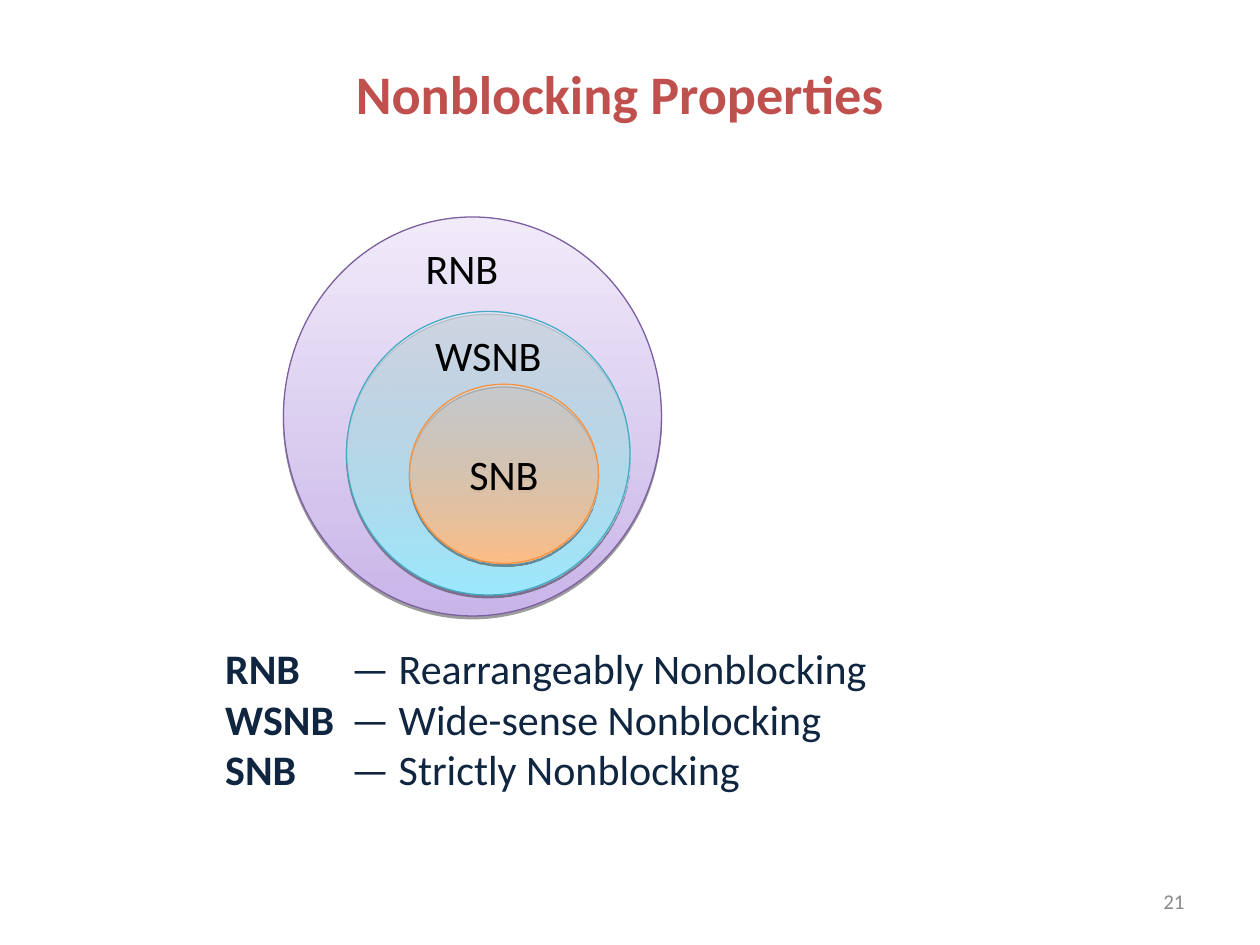
import dataclasses

import pptx
import pptx.dml.color
import pptx.enum.shapes
import pptx.enum.text
import pptx.oxml
import pptx.oxml.ns
import pptx.util

Pt = pptx.util.Pt
Align = pptx.enum.text.PP_ALIGN
Anchor = pptx.enum.text.MSO_ANCHOR
DRAWING = pptx.oxml.ns.nsdecls("a")


@dataclasses.dataclass(frozen=True)
class Theme:
    font: str = "Calibri"
    title_size: float = 31
    text_size: float = 24
    number_size: float = 12
    title: str = "C0504D"
    label: str = "000000"
    definition: str = "10253F"
    number: str = "898989"
    rearrangeable: tuple = ("C9B5E8", "F0EAF9", "7D60A0")
    wide_sense: tuple = ("9EEAFF", "E4F9FF", "46AAC5")
    strict: tuple = ("FFBE86", "FFEBDB", "F69240")


def rgb(color):
    return pptx.dml.color.RGBColor.from_string(color)


def write(paragraph, text, *, font, size, color, bold=False, align=None):
    if align is not None:
        paragraph.alignment = align
    run = paragraph.add_run()
    run.text = text
    run.font.name = font
    run.font.size = Pt(size)
    run.font.bold = bold
    run.font.color.rgb = rgb(color)


def place(shape, left, top, width, height):
    shape.left, shape.top = Pt(left), Pt(top)
    shape.width, shape.height = Pt(width), Pt(height)


class SlideBuilder:
    def __init__(self, slide, theme):
        self.slide = slide
        self.theme = theme

    def title(self, text, box):
        shape = self.slide.shapes.title
        place(shape, *box)
        frame = shape.text_frame
        frame.vertical_anchor = Anchor.MIDDLE
        write(frame.paragraphs[0], text, font=self.theme.font, size=self.theme.title_size,
              color=self.theme.title, bold=True, align=Align.CENTER)

    def definitions(self, entries, box, tab):
        shape = self.slide.placeholders[1]
        place(shape, *box)
        frame = shape.text_frame
        frame.auto_size = pptx.enum.text.MSO_AUTO_SIZE.NONE
        for index, (term, meaning) in enumerate(entries):
            paragraph = frame.add_paragraph() if index else frame.paragraphs[0]
            paragraph.space_before = Pt(0)
            properties = paragraph._p.get_or_add_pPr()
            properties.set("marL", "0")
            properties.set("indent", "0")
            properties.append(pptx.oxml.parse_xml(f"<a:buNone {DRAWING}/>"))
            properties.append(pptx.oxml.parse_xml(
                f'<a:tabLst {DRAWING}><a:tab pos="{Pt(tab)}" algn="l"/></a:tabLst>'))
            style = dict(font=self.theme.font, size=self.theme.text_size,
                         color=self.theme.definition)
            write(paragraph, f"{term}\t", bold=True, **style)
            write(paragraph, f"— {meaning}", **style)

    def ellipse(self, box, colors, top_opacity=100, text=None):
        bottom, top, outline = colors
        shape = self.slide.shapes.add_shape(
            pptx.enum.shapes.MSO_SHAPE.OVAL, *map(Pt, box))
        shape.fill.gradient()
        shape.fill.gradient_angle = 90
        for stop, color, position in zip(shape.fill.gradient_stops, (bottom, top), (0, 1)):
            stop.color.rgb = rgb(color)
            stop.position = position
        properties = shape.element.spPr
        if top_opacity < 100:
            top_color = properties.findall(f".//{pptx.oxml.ns.qn('a:srgbClr')}")[1]
            top_color.append(pptx.oxml.parse_xml(
                f'<a:alpha {DRAWING} val="{top_opacity * 1000}"/>'))
        shape.line.color.rgb = rgb(outline)
        shape.line.width = Pt(0.75)
        shape.shadow.inherit = False
        properties.find(pptx.oxml.ns.qn("a:effectLst")).append(pptx.oxml.parse_xml(
            f'<a:outerShdw {DRAWING} blurRad="0" dist="{Pt(1.6)}" dir="5400000" '
            'rotWithShape="0"><a:srgbClr val="000000"><a:alpha val="38000"/>'
            "</a:srgbClr></a:outerShdw>"))
        if text:
            frame = shape.text_frame
            frame.word_wrap = False
            frame.vertical_anchor = Anchor.MIDDLE
            write(frame.paragraphs[0], text, font=self.theme.font,
                  size=self.theme.text_size, color=self.theme.label, align=Align.CENTER)

    def text(self, text, box, size, color, align):
        frame = self.slide.shapes.add_textbox(*map(Pt, box)).text_frame
        frame.word_wrap = True
        frame.vertical_anchor = Anchor.MIDDLE
        write(frame.paragraphs[0], text, font=self.theme.font, size=size,
              color=color, align=align)


def main():
    presentation = pptx.Presentation()
    presentation.slide_width = Pt(720)
    presentation.slide_height = Pt(540)
    theme = Theme()
    slide = presentation.slides.add_slide(presentation.slide_layouts[1])
    builder = SlideBuilder(slide, theme)

    builder.title("Nonblocking Properties", (48, 26, 612, 54))
    builder.ellipse((162, 124, 216, 228), theme.rearrangeable)
    builder.ellipse((198, 178, 162, 162), theme.wide_sense, top_opacity=46)
    builder.ellipse((234, 219.6, 108, 102.4), theme.strict, top_opacity=35, text="SNB")
    for label, center, middle in (("RNB", 264, 153), ("WSNB", 279, 203)):
        builder.text(label, (center - 50, middle - 18, 100, 36),
                     theme.text_size, theme.label, Align.CENTER)
    builder.definitions(
        (("RNB", "Rearrangeably Nonblocking"),
         ("WSNB", "Wide-sense Nonblocking"),
         ("SNB", "Strictly Nonblocking")),
        (121.5, 363.8, 387.5, 94), tab=72)
    builder.text("21", (516, 500.5, 168, 28.75),
                 theme.number_size, theme.number, Align.RIGHT)
    presentation.save("out.pptx")


if __name__ == "__main__":
    main()
